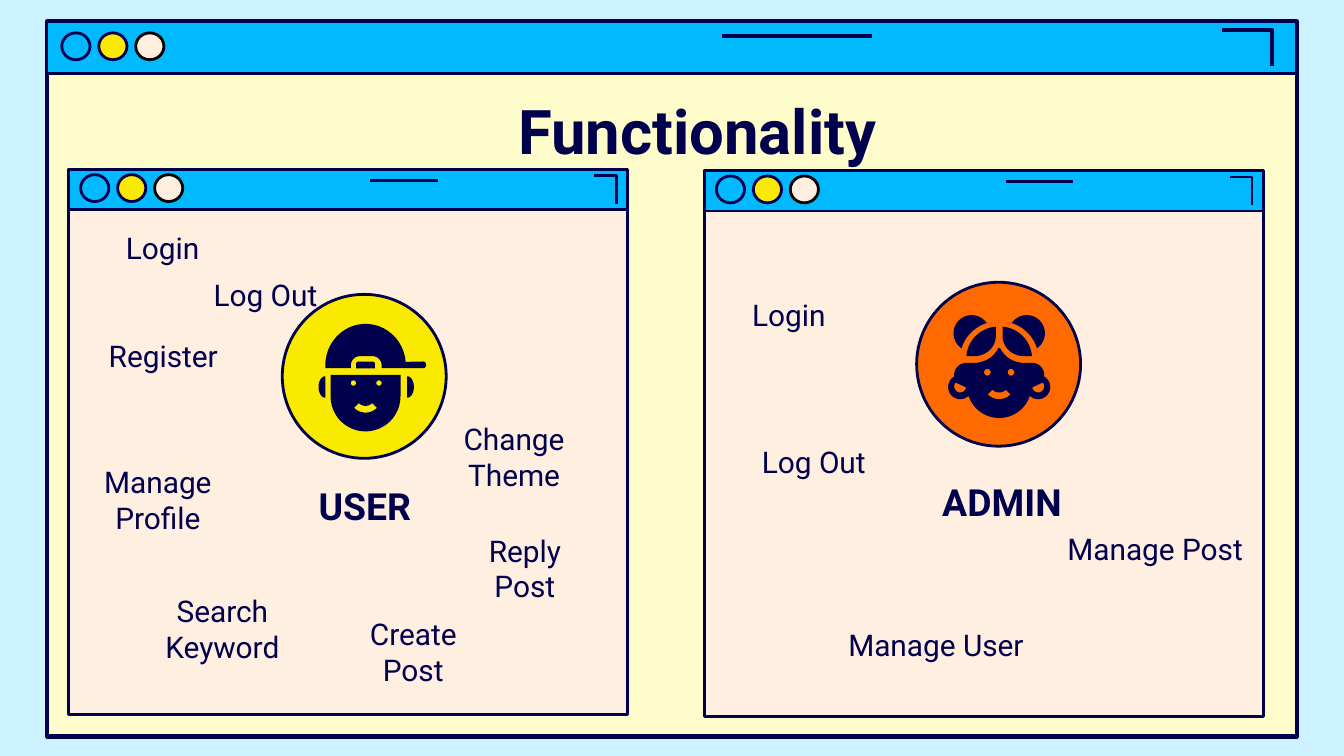
"""Build the slide that shows what the user and the admin can do."""
import math
from dataclasses import dataclass

import pptx
import pptx.dml.color
import pptx.enum.shapes
import pptx.enum.text
import pptx.oxml
import pptx.util
from pptx.util import Inches


@dataclass(frozen=True)
class Theme:
    sky: str = "CCF1FF"
    cream: str = "FFFCCB"
    peach: str = "FFEFE1"
    blue: str = "00B9FF"
    yellow: str = "FAEA00"
    orange: str = "FF6A00"
    navy: str = "00004D"
    black: str = "000000"
    font: str = "Roboto"
    title_size: int = 33
    role_size: int = 20
    label_size: int = 16
    line: float = 1.5


def color(code):
    return pptx.dml.color.RGBColor.from_string(code)


def arc(cx, cy, rx, ry, start, end, steps=24):
    angles = [math.radians(start + (end - start) * i / steps) for i in range(steps + 1)]
    return [(cx + rx * math.cos(a), cy + ry * math.sin(a)) for a in angles]


def circle(cx, cy, r):
    return arc(cx, cy, r, r, 0, 360)


def smile(cx, cy):
    return arc(cx, cy, 0.12, 0.12, 45, 135) + arc(cx, cy, 0.07, 0.07, 135, 45)


def mirror(points, axis):
    return [(2 * axis - x, y) for x, y in reversed(points)]


class Board:
    def __init__(self, slide, theme):
        self.slide, self.shapes, self.theme = slide, slide.shapes, theme
        slide.background.fill.solid()
        slide.background.fill.fore_color.rgb = color(theme.sky)

    def paint(self, shape, fill=None, line=None, width=None):
        shape.shadow.inherit = False
        if fill:
            shape.fill.solid()
            shape.fill.fore_color.rgb = color(fill)
        else:
            shape.fill.background()
        if line:
            shape.line.color.rgb = color(line)
            shape.line.width = pptx.util.Pt(width or self.theme.line)
        else:
            shape.line.fill.background()

    def preset(self, kind, left, top, width, height, fill, line, weight=None):
        shape = self.shapes.add_shape(kind, *map(Inches, (left, top, width, height)))
        self.paint(shape, fill, line, weight)

    def rectangle(self, *args):
        self.preset(pptx.enum.shapes.MSO_SHAPE.RECTANGLE, *args)

    def ellipse(self, *args):
        self.preset(pptx.enum.shapes.MSO_SHAPE.OVAL, *args)

    def outline(self, *contours, closed=True, **style):
        first, *others = [[(Inches(x), Inches(y)) for x, y in c] for c in contours]
        builder = self.shapes.build_freeform(*first[0])
        builder.add_line_segments(first[1:], close=closed)
        for hole in others:
            builder.move_to(*hole[0])
            builder.add_line_segments(hole[1:], close=closed)
        self.paint(builder.convert_to_shape(), **style)

    def dash(self, left, right, y, weight):
        dash = self.shapes.add_connector(
            pptx.enum.shapes.MSO_CONNECTOR.STRAIGHT, *map(Inches, (left, y, right, y)))
        dash.line.color.rgb = color(self.theme.navy)
        dash.line.width = pptx.util.Pt(weight)
        properties = dash._element.spPr
        properties.append(properties.makeelement(pptx.oxml.ns.qn("a:effectLst"), {}))

    def window(self, left, top, width, height, bar, body, weight, dot_gap):
        t = self.theme
        self.rectangle(left, top, width, height, body, t.navy, weight)
        self.rectangle(left, top, width, bar, t.blue, t.navy)
        corner = [(0.94, 0.16), (0.98, 0.16), (0.98, 0.85)]
        self.outline([(left + width * x, top + bar * y) for x, y in corner],
                     closed=False, line=t.navy, width=weight * 0.9)
        self.dash(left + width * 0.54, left + width * 0.66, top + bar * 0.27, weight)
        dots = [(t.blue, t.navy), (t.yellow, t.navy), (t.peach, t.black)]
        for i, (fill, line) in enumerate(dots):
            self.ellipse(left + dot_gap + 0.275 * i, top + (bar - 0.2) / 2 - 0.01,
                         0.21, 0.2, fill, line)

    def text(self, words, left, top, width, height, size, bold=False):
        frame = self.shapes.add_textbox(*map(Inches, (left, top, width, height))).text_frame
        frame.word_wrap = True
        frame.margin_left = frame.margin_right = Inches(0.1)
        frame.margin_top = frame.margin_bottom = Inches(0.1)
        anchor = pptx.enum.text.MSO_ANCHOR
        frame.vertical_anchor = anchor.BOTTOM if bold else anchor.TOP
        frame.text = words
        paragraph = frame.paragraphs[0]
        paragraph.alignment = pptx.enum.text.PP_ALIGN.CENTER
        font = paragraph.runs[0].font
        font.name, font.size, font.bold = self.theme.font, pptx.util.Pt(size), bold
        font.color.rgb = color(self.theme.navy)

    def user_avatar(self):
        t = self.theme
        self.ellipse(2.1, 2.19, 1.22, 1.22, t.yellow, t.navy)
        face = [(2.46, 2.79)] + arc(2.72, 2.95, 0.26, 0.26, 180, 0) + [(2.98, 2.79)]
        eyes = [circle(x, 2.85, 0.02) for x in (2.63, 2.82)]
        self.outline(face, *eyes, smile(2.72, 2.95), fill=t.navy)
        cap = (arc(2.72, 2.72, 0.3, 0.31, 180, 355)
               + arc(3.15, 2.715, 0.02, 0.025, -90, 90) + [(2.84, 2.74)]
               + arc(2.77, 2.72, 0.07, 0.07, 0, -90)
               + arc(2.68, 2.72, 0.07, 0.07, -90, -180) + [(2.61, 2.74), (2.42, 2.74)])
        strap = ([(2.65, 2.74)] + arc(2.67, 2.71, 0.02, 0.02, 180, 270)
                 + arc(2.77, 2.71, 0.02, 0.02, 270, 360) + [(2.79, 2.74)])
        ears = [arc(2.42, 2.88, 0.05, 0.08, 90, 270), arc(3.03, 2.88, 0.05, 0.08, -90, 90)]
        for part in (cap, strap, *ears):
            self.outline(part, fill=t.navy)

    def admin_avatar(self):
        t, axis = self.theme, 7.435
        self.ellipse(6.82, 2.1, 1.22, 1.22, t.orange, t.navy)
        bun = arc(7.64, 2.48, 0.135, 0.135, 214, 417) + arc(7.44, 2.68, 0.29, 0.29, -18, -74)
        fringe = ([(7.46, 2.43)] + arc(7.62, 2.5, 0.16, 0.15, 180, 90)
                  + arc(7.44, 2.67, 0.24, 0.24, -5, -85))
        for part in (bun, fringe):
            self.outline(part, fill=t.navy)
            self.outline(mirror(part, axis), fill=t.navy)
        half = (arc(7.62, 2.5, 0.2, 0.2, 154, 90) + arc(7.68, 2.79, 0.09, 0.09, -90, 0)
                + arc(7.725, 2.88, 0.09, 0.09, -60, 130)
                + arc(axis, 2.87, 0.24, 0.24, 18, 90))
        earring = arc(7.725, 2.875, 0.045, 0.045, -40, 170)
        eye = circle(7.523, 2.77, 0.025)
        self.outline(half + mirror(half, axis), earring, mirror(earring, axis),
                     eye, mirror(eye, axis), smile(axis, 2.85), fill=t.navy)


def main():
    deck = pptx.Presentation()
    deck.slide_width = Inches(10)
    deck.slide_height = deck.slide_width * 9 // 16
    theme = Theme()
    board = Board(deck.slides.add_slide(deck.slide_layouts[6]), theme)
    board.window(0.35, 0.16, 9.3, 5.32, 0.39, theme.cream, 2.25, 0.11)
    for left, top in ((5.24, 1.27), (0.51, 1.26)):
        board.window(left, top, 4.16, 4.06, 0.3, theme.peach, 1.5, 0.09)
    board.text("Functionality", 0.97, 0.51, 8.44, 0.83, theme.title_size, True)
    board.user_avatar()
    board.admin_avatar()
    for role, left, top in (("USER", 1.32, 3.58), ("ADMIN", 6.06, 3.55)):
        board.text(role, left, top, 2.79, 0.45, theme.role_size, True)
    functions = [
        ("Login", 0.75, 1.61, 0.92), ("Register", 0.64, 2.41, 1.15),
        ("Log Out", 1.4, 1.96, 1.15), ("Change Theme", 3.25, 3.03, 1.15),
        ("Manage Profile", 0.6, 3.35, 1.15), ("Create Post", 2.5, 4.48, 1.15),
        ("Search Keyword", 1.08, 4.31, 1.15), ("Reply Post", 3.33, 3.86, 1.15),
        ("Login", 5.41, 2.11, 0.92), ("Log Out", 5.48, 3.2, 1.15),
        ("Manage Post", 7.8, 3.85, 1.59), ("Manage User", 5.98, 4.56, 1.97),
    ]
    for name, left, top, width in functions:
        board.text(name, left, top, width, 0.49, theme.label_size)
    deck.save("out.pptx")


if __name__ == "__main__":
    main()
